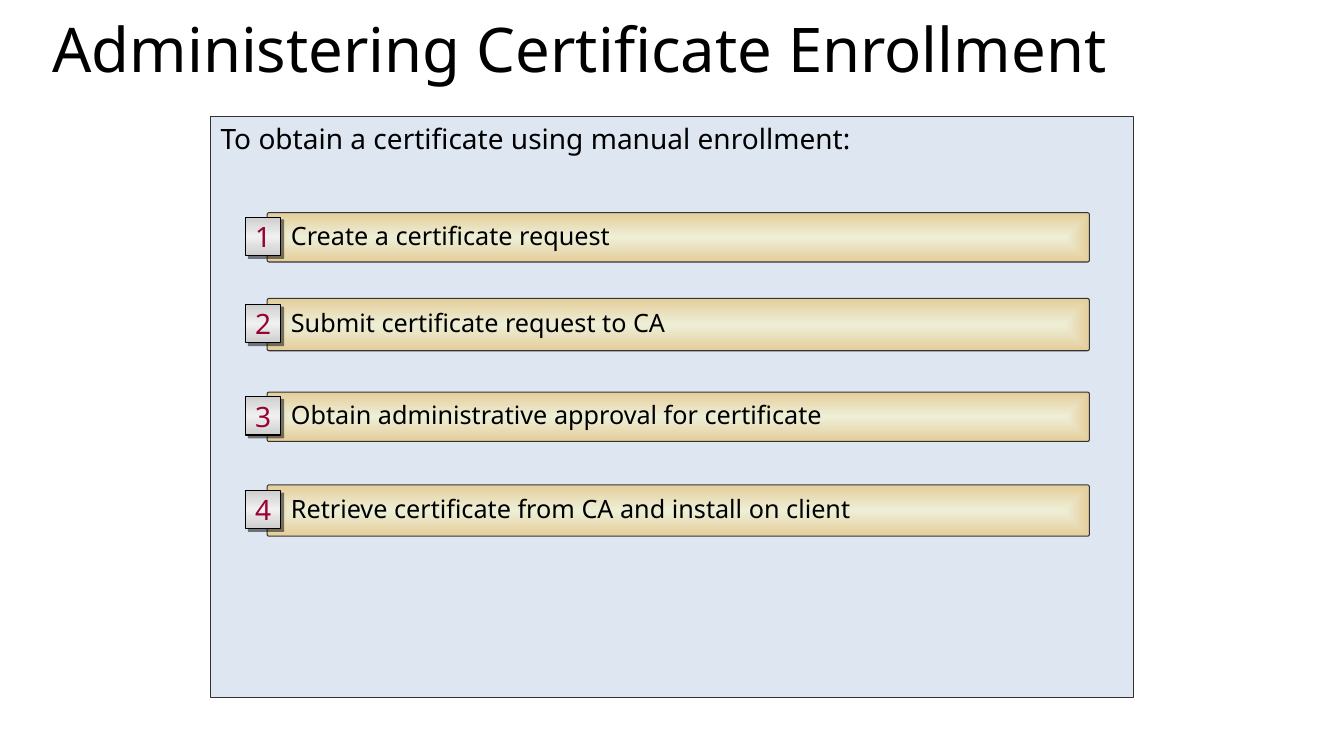
import pptx
import pptx.util
import pptx.dml.color
import pptx.enum.shapes
import pptx.enum.text
import pptx.oxml
import pptx.oxml.ns

RGB = pptx.dml.color.RGBColor
Pt = pptx.util.Pt
Inches = pptx.util.Inches
KIND = pptx.enum.shapes.MSO_SHAPE
ANCHOR = pptx.enum.text.MSO_ANCHOR
ALIGN = pptx.enum.text.PP_ALIGN
qn = pptx.oxml.ns.qn

BLACK = RGB(0x00, 0x00, 0x00)
EDGE = RGB(0x33, 0x33, 0x33)
PALE = RGB(0xDE, 0xE7, 0xF1)
CREAM = RGB(0xEE, 0xEF, 0xD7)
SAND = RGB(0xE4, 0xCD, 0x9A)
GREY = RGB(0xCE, 0xCE, 0xCE)
LIGHT = RGB(0xF0, 0xF0, 0xF0)
WINE = RGB(0x99, 0x00, 0x33)

FONT = "Noto Sans"
WIDE, HIGH = Inches(13.33), Inches(7.5)
NS = 'xmlns:a="http://schemas.openxmlformats.org/drawingml/2006/main"'
GLOW = ('<a:path path="shape"><a:fillToRect l="50000" t="50000" '
        'r="50000" b="50000"/></a:path>')
DOWN = '<a:lin ang="5400000" scaled="0"/>'
SHADE = (f'<a:outerShdw {NS} blurRad="0" dist="35560" dir="2700000" '
         'algn="ctr" rotWithShape="0"><a:srgbClr val="000000">'
         '<a:alpha val="50000"/></a:srgbClr></a:outerShdw>')

# Top and height of each bar, in percent of the slide's height
STEPS = [
    ("Create a certificate request", 28.13, 6.53),
    ("Submit certificate request to CA", 39.47, 6.93),
    ("Obtain administrative approval for certificate", 51.87, 6.53),
    ("Retrieve certificate from CA and install on client", 64.13, 6.8),
]
BADGE = 5.07
LIFT = 0.13


def place(left, top, width, height):
    """Turn percent of the slide into lengths."""
    return [int(side * share / 100) for side, share in
            zip((WIDE, HIGH, WIDE, HIGH), (left, top, width, height))]


def write(shape, text, size, color=BLACK, frame=None, para=None):
    body = shape.text_frame
    body.word_wrap = True
    for name, value in (frame or {}).items():
        setattr(body, name, value)
    line = body.paragraphs[0]
    for name, value in {"alignment": ALIGN.LEFT, **(para or {})}.items():
        setattr(line, name, value)
    run = line.add_run()
    run.text = text
    for name, value in {"name": FONT, "size": Pt(size)}.items():
        setattr(run.font, name, value)
    run.font.color.rgb = color


def box(slide, kind, area, edge):
    shape = slide.shapes.add_shape(kind, *place(*area))
    shape.shadow.inherit = False
    shape.line.color.rgb = edge
    shape.line.width = Pt(0.75)
    return shape


def blend(shape, stops, course):
    """Fill the shape with a gradient of (percent, colour) stops."""
    marks = "".join(f'<a:gs pos="{spot * 1000}"><a:srgbClr val="{color}"/></a:gs>'
                    for spot, color in stops)
    fill = pptx.oxml.parse_xml(f'<a:gradFill {NS} rotWithShape="1">'
                               f'<a:gsLst>{marks}</a:gsLst>{course}</a:gradFill>')
    shape.element.spPr.find(qn("a:prstGeom")).addnext(fill)


def title(slide, text):
    shape = slide.shapes.add_textbox(*place(3.15, 2.67, 94.52, 15.47))
    write(shape, text, 44, para={"line_spacing": 0.8})


def panel(slide, text):
    shape = box(slide, KIND.RECTANGLE, (15.68, 15.47, 68.64, 76.8), EDGE)
    shape.fill.solid()
    shape.fill.fore_color.rgb = PALE
    write(shape, text, 20, frame={"vertical_anchor": ANCHOR.TOP})


def bar(slide, text, top, height):
    shape = box(slide, KIND.ROUNDED_RECTANGLE, (19.88, top, 61.18, height), EDGE)
    shape.adjustments[0] = 0.04
    blend(shape, [(0, CREAM), (100, SAND)], GLOW)
    write(shape, text, 18, para={"line_spacing": 0.9},
          frame={"vertical_anchor": ANCHOR.MIDDLE, "margin_left": Inches(0.23)})


def badge(slide, digit, top):
    shape = box(slide, KIND.ROUNDED_RECTANGLE, (18.27, top, 2.63, BADGE), BLACK)
    shape.adjustments[0] = 0
    blend(shape, [(0, GREY), (50, LIGHT), (100, GREY)], DOWN)
    shape.element.spPr.find(qn("a:effectLst")).append(pptx.oxml.parse_xml(SHADE))
    write(shape, digit, 20, WINE, para={"alignment": ALIGN.CENTER},
          frame={"vertical_anchor": ANCHOR.MIDDLE, "word_wrap": False})


def main():
    deck = pptx.Presentation()
    deck.slide_width, deck.slide_height = WIDE, HIGH
    slide = deck.slides.add_slide(deck.slide_layouts[6])
    title(slide, "Administering Certificate Enrollment")
    panel(slide, "To obtain a certificate using manual enrollment:")
    for count, (text, top, height) in enumerate(STEPS, 1):
        bar(slide, text, top, height)
        badge(slide, str(count), top + (height - BADGE) / 2 - LIFT)
    deck.save("out.pptx")


if __name__ == "__main__":
    main()
